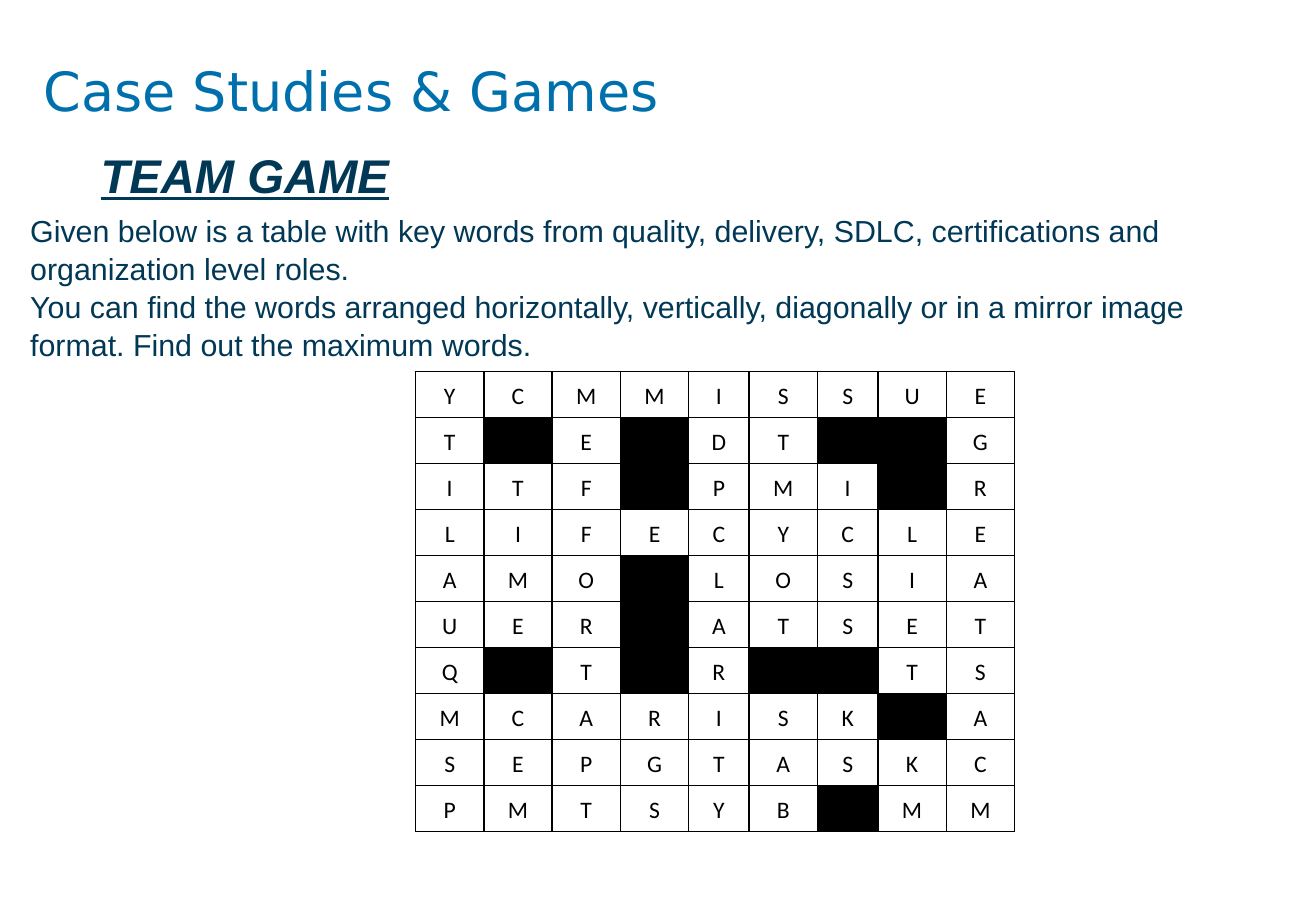
from pptx import Presentation
from pptx.dml.color import RGBColor
from pptx.enum.text import MSO_ANCHOR, MSO_AUTO_SIZE, PP_ALIGN
from pptx.oxml import parse_xml
from pptx.oxml.ns import nsdecls
from pptx.util import Inches, Pt

BLUE, NAVY, BLACK = "0070AD", "003856", "000000"
INTRO = [
    "Given below is a table with key words from quality, delivery, SDLC, "
    "certifications and organization level roles.",
    "You can find the words arranged horizontally, vertically, diagonally "
    "or in a mirror image format. Find out the maximum words.",
]
PUZZLE = """
YCMMISSUE
T#E#DT##G
ITF#PMI#R
LIFECYCLE
AMO#LOSIA
UER#ATSET
Q#T#R##TS
MCARISK#A
SEPGTASKC
PMTSYB#MM
""".split()
WIDE, THIN, ROW = 5.19, 4.6, 5.05
COLS = [THIN if col in (4, 6) else WIDE for col in range(9)]


def color(code):
    return RGBColor.from_string(code)


class Deck:
    def __init__(self, width, height):
        self.show = Presentation()
        self.show.slide_width = Inches(width)
        self.show.slide_height = Inches(height)
        self.slide = self.show.slides.add_slide(self.show.slide_layouts[6])

    def across(self, share):
        return int(self.show.slide_width * share / 100)

    def down(self, share):
        return int(self.show.slide_height * share / 100)

    def place(self, left, top, width, height):
        return self.across(left), self.down(top), self.across(width), self.down(height)

    def style(self, para, size, face, code, strong=False):
        for run in para.runs:
            font = run.font
            font.size, font.name = Pt(size), face
            font.color.rgb = color(code)
            font.bold = font.italic = font.underline = strong

    def text(self, area, lines, size, face, code, strong=False, inset=True):
        frame = self.slide.shapes.add_textbox(*self.place(*area)).text_frame
        frame.word_wrap = True
        if inset:
            frame.auto_size = MSO_AUTO_SIZE.SHAPE_TO_FIT_TEXT
        else:
            frame.margin_left = frame.margin_right = 0
            frame.margin_top = frame.margin_bottom = 0
        frame.text = "\n".join(lines)
        for para in frame.paragraphs:
            para.line_spacing = 1.05
            self.style(para, size, face, code, strong)

    def border(self, cell):
        props = cell._tc.get_or_add_tcPr()
        for side in ("lnL", "lnR", "lnT", "lnB"):
            props.append(parse_xml(
                f'<a:{side} {nsdecls("a")} w="{Pt(1)}"><a:solidFill>'
                f'<a:srgbClr val="{BLACK}"/></a:solidFill></a:{side}>'))

    def fill(self, cell, mark):
        cell.margin_left = cell.margin_right = Inches(0.07)
        cell.margin_top = cell.margin_bottom = 0
        cell.vertical_anchor = MSO_ANCHOR.MIDDLE
        self.border(cell)
        if mark == "#":
            cell.fill.solid()
            cell.fill.fore_color.rgb = color(BLACK)
            return
        cell.fill.background()
        cell.text_frame.text = mark
        para = cell.text_frame.paragraphs[0]
        para.alignment = PP_ALIGN.CENTER
        para.line_spacing = 1.15
        self.style(para, 14, "Calibri", BLACK)

    def puzzle(self, left, top, rows, cols, height):
        area = self.place(left, top, sum(cols), height * len(rows))
        table = self.slide.shapes.add_table(len(rows), len(cols), *area).table
        table.first_row = table.horz_banding = False
        for col, width in zip(table.columns, cols):
            col.width = self.across(width)
        for row, marks in zip(table.rows, rows):
            row.height = self.down(height)
            for cell, mark in zip(row.cells, marks):
                self.fill(cell, mark)


def main():
    deck = Deck(10.83, 7.5)
    deck.text((3.32, 6, 93.35, 12.53), ["Case Studies & Games"],
              32, "DejaVu Sans", BLUE, inset=False)
    deck.text((6.74, 15.07, 27.89, 7.6), ["TEAM GAME"], 28, "Arial", NAVY, strong=True)
    deck.text((1.39, 22.4, 96.77, 17.47), INTRO, 18, "Arial", NAVY)
    deck.puzzle(31.58, 40.8, PUZZLE, COLS, ROW)
    deck.show.save("out.pptx")


if __name__ == "__main__":
    main()
